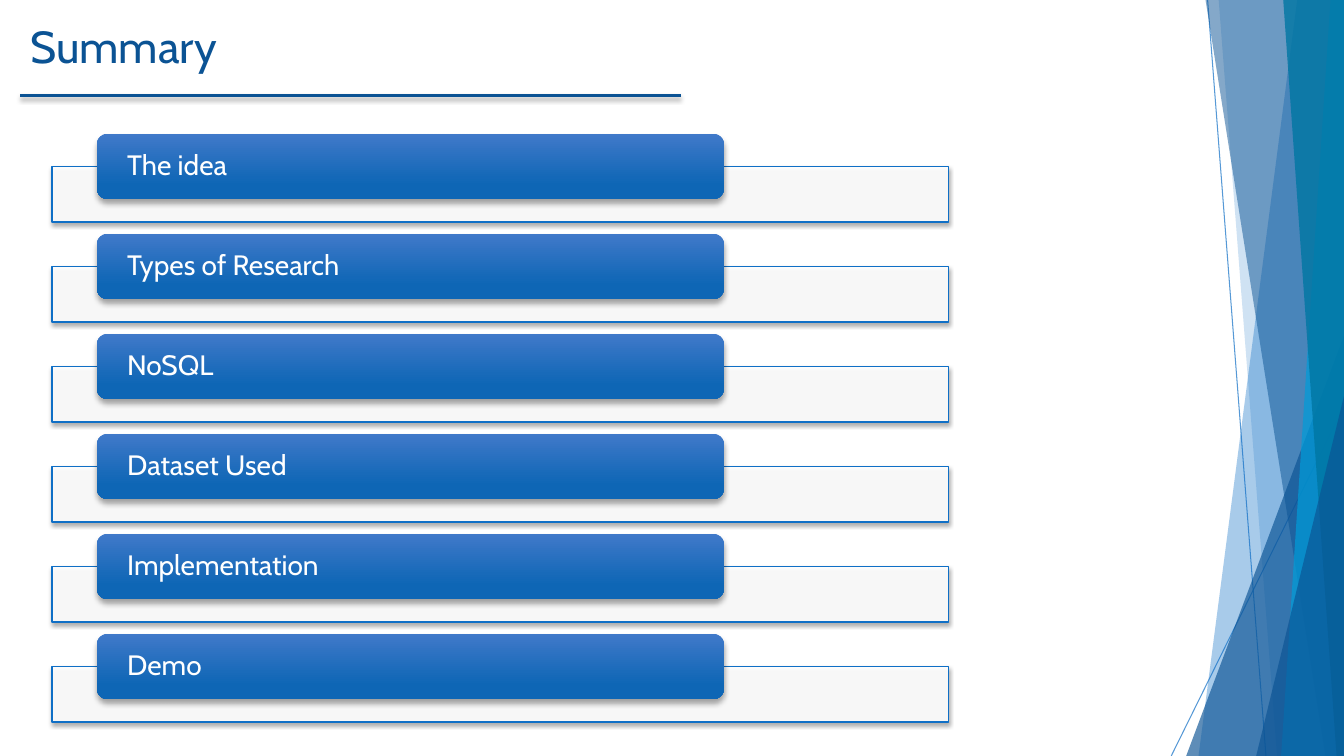
import pptx
import pptx.dml.color
import pptx.enum.shapes
import pptx.enum.text
import pptx.util
import pptx.oxml.ns
import lxml.etree

Pt = pptx.util.Pt
SHAPE = pptx.enum.shapes.MSO_SHAPE
ANCHOR = pptx.enum.text.MSO_ANCHOR
ALIGN = pptx.enum.text.PP_ALIGN
qn = pptx.oxml.ns.qn

WIDTH, HEIGHT = 960, 540
FONT = "Cabin"
BLUE, NAVY, CYAN, TEAL, WHITE = "0F6FC6", "0B5394", "009DD9", "0076A3", "FFFFFF"

TITLE = "Summary"
TOPICS = ["The idea", "Types of Research", "NoSQL",
          "Dataset Used", "Implementation", "Demo"]

# Thin rays: start, end
RAYS = [((862.6, 0), (904.3, HEIGHT)), ((WIDTH, 290.2), (836.6, HEIGHT))]

# Facets reach the right edge: ("band", top x, bottom x) or ("wedge", left, top), colour, opacity
FACETS = [
    ("band", 926.6, 856.1, BLUE, 36),
    ("band", 870.5, 912.2, BLUE, 20),
    ("wedge", 847.3, 239.8, NAVY, 66),
    ("band", 861.1, 946.8, NAVY, 50),
    ("band", 950.4, 915.1, CYAN, 70),
    ("band", 916.6, 954.7, TEAL, 80),
    ("wedge", 897.3, 283, NAVY, 66),
]

ROW_PITCH = 71.45
PANEL_LEFT, PANEL_TOP, PANEL_WIDTH, PANEL_HEIGHT = 37.2, 118.8, 640.2, 39.7
BAR_LEFT, BAR_TOP, BAR_WIDTH, BAR_HEIGHT = 69.2, 95.4, 448, 46.8
BAR_STOPS = [(0, "4079C9"), (0.78, "0E66B5")]
LINE_SHADOW, BAR_SHADOW = (3, 2), (4, 3)


def rgb(value):
    return pptx.dml.color.RGBColor.from_string(value)


def paint(fill, color, opacity=100, holder=None):
    """Fill with a colour; holder is the XML element that contains the solid fill."""
    fill.solid()
    fill.fore_color.rgb = rgb(color)
    if opacity < 100:
        color_element = holder.find(f"{qn('a:solidFill')}/{qn('a:srgbClr')}")
        lxml.etree.SubElement(color_element, qn("a:alpha"), val=str(opacity * 1000))


def set_shadow(shape, shadow=None):
    """Replace the theme shadow by (blur, distance) downwards, or by none; call after fill and line."""
    effects = lxml.etree.SubElement(shape.element.spPr, qn("a:effectLst"))
    if shadow:
        blur, distance = shadow
        outer = lxml.etree.SubElement(
            effects, qn("a:outerShdw"), blurRad=str(Pt(blur)), dist=str(Pt(distance)),
            dir="5400000", algn="ctr", rotWithShape="0")
        black = lxml.etree.SubElement(outer, qn("a:srgbClr"), val="000000")
        lxml.etree.SubElement(black, qn("a:alpha"), val="35000")


def add_line(shapes, start, end, color, width, opacity=100, shadow=None):
    line = shapes.add_connector(pptx.enum.shapes.MSO_CONNECTOR.STRAIGHT,
                                *(Pt(value) for value in start + end))
    line.line.width = Pt(width)
    paint(line.line.fill, color, opacity, line.element.spPr.find(qn("a:ln")))
    set_shadow(line, shadow)


def add_box(shapes, kind, left, top, width, height):
    return shapes.add_shape(kind, Pt(left), Pt(top), Pt(width), Pt(height))


def add_facet(shapes, kind, first, second, color, opacity):
    if kind == "wedge":
        facet = add_box(shapes, SHAPE.ISOSCELES_TRIANGLE, first, second,
                        WIDTH - first, HEIGHT - second)
        facet.adjustments[0] = 1
    else:
        builder = shapes.build_freeform(Pt(first), 0)
        corners = [(WIDTH, 0), (WIDTH, HEIGHT), (second, HEIGHT)]
        builder.add_line_segments([(Pt(x), Pt(y)) for x, y in corners], close=True)
        facet = builder.convert_to_shape()
    paint(facet.fill, color, opacity, facet.element.spPr)
    facet.line.fill.background()
    set_shadow(facet)


def add_topic(shapes, topic, offset):
    panel = add_box(shapes, SHAPE.RECTANGLE, PANEL_LEFT, PANEL_TOP + offset,
                    PANEL_WIDTH, PANEL_HEIGHT)
    paint(panel.fill, WHITE, 90, panel.element.spPr)
    paint(panel.line.fill, BLUE)
    panel.line.width = Pt(1)
    set_shadow(panel, LINE_SHADOW)

    bar = add_box(shapes, SHAPE.ROUNDED_RECTANGLE, BAR_LEFT, BAR_TOP + offset,
                  BAR_WIDTH, BAR_HEIGHT)
    bar.fill.gradient()
    bar.fill.gradient_angle = 270
    for stop, (position, color) in zip(bar.fill.gradient_stops, BAR_STOPS):
        stop.position = position
        stop.color.rgb = rgb(color)
    bar.line.fill.background()
    set_shadow(bar, BAR_SHADOW)

    frame = bar.text_frame
    frame.word_wrap = True
    frame.vertical_anchor = ANCHOR.MIDDLE
    frame.margin_left = frame.margin_right = Pt(19.4)
    frame.margin_top = frame.margin_bottom = 0
    frame.text = topic
    paragraph = frame.paragraphs[0]
    paragraph.line_spacing = 0.9
    format_text(paragraph, 20, WHITE)


def format_text(paragraph, size, color):
    paragraph.alignment = ALIGN.LEFT
    paragraph.font.name = FONT
    paragraph.font.size = Pt(size)
    paragraph.font.color.rgb = rgb(color)


def main():
    presentation = pptx.Presentation()
    presentation.slide_width, presentation.slide_height = Pt(WIDTH), Pt(HEIGHT)
    slide = presentation.slides.add_slide(presentation.slide_layouts.get_by_name("Title Only"))
    shapes = slide.shapes

    for start, end in RAYS:
        add_line(shapes, start, end, BLUE, 0.75, opacity=70)
    for facet in FACETS:
        add_facet(shapes, *facet)
    for row, topic in enumerate(TOPICS):
        add_topic(shapes, topic, row * ROW_PITCH)
    add_line(shapes, (14.4, 68.4), (486.7, 68.4), NAVY, 2, shadow=LINE_SHADOW)

    title = shapes.title
    title.left, title.top, title.width, title.height = Pt(14.4), Pt(10.1), Pt(543.6), Pt(60.5)
    title.text_frame.text = TITLE
    title.text_frame.vertical_anchor = ANCHOR.TOP
    format_text(title.text_frame.paragraphs[0], 32, NAVY)

    presentation.save("out.pptx")


if __name__ == "__main__":
    main()
